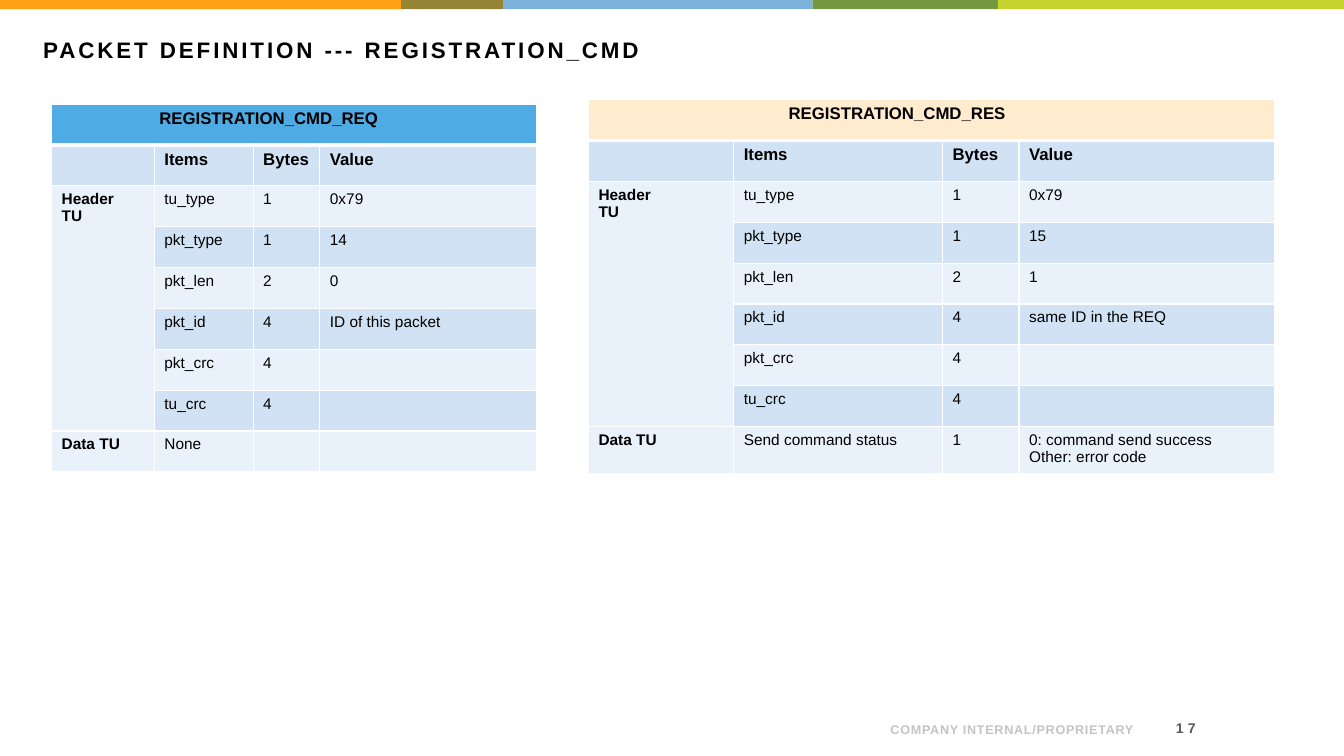
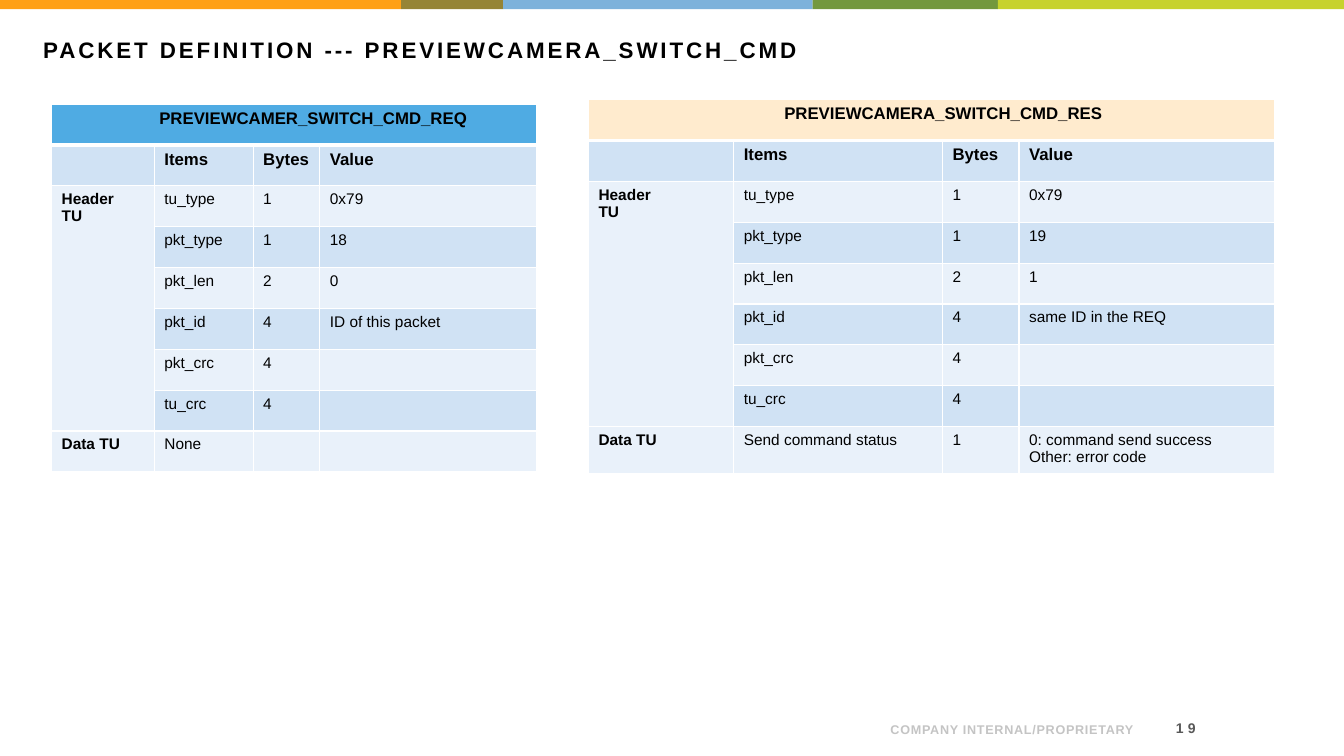
import dataclasses

import lxml.etree
import pptx
import pptx.dml.color
import pptx.enum.shapes
import pptx.enum.text
import pptx.oxml.ns
import pptx.slide
import pptx.table
import pptx.text.text
import pptx.util

Cm = pptx.util.Cm
Pt = pptx.util.Pt
RGBColor = pptx.dml.color.RGBColor
PP_ALIGN = pptx.enum.text.PP_ALIGN
MSO_ANCHOR = pptx.enum.text.MSO_ANCHOR
RECT = pptx.enum.shapes.MSO_SHAPE.RECTANGLE
qn = pptx.oxml.ns.qn

BLACK = RGBColor(0x00, 0x00, 0x00)
WHITE = RGBColor(0xFF, 0xFF, 0xFF)
DARK_GREY = RGBColor(0x59, 0x59, 0x59)
LIGHT_GREY = RGBColor(0xC4, 0xC4, 0xC4)
ORANGE = RGBColor(0xFF, 0xA0, 0x15)
OLIVE = RGBColor(0x95, 0x84, 0x36)
SKY = RGBColor(0x7D, 0xB2, 0xDB)
GREEN = RGBColor(0x73, 0x98, 0x3E)
LIME = RGBColor(0xC7, 0xD2, 0x2D)
REQ_BLUE = RGBColor(0x4F, 0xAB, 0xE3)
RES_CREAM = RGBColor(0xFF, 0xEB, 0xCE)
ROW_EVEN = RGBColor(0xE9, 0xF1, 0xFA)
ROW_ODD = RGBColor(0xD0, 0xE2, 0xF4)

FONT = "Arial"
SLIDE_WIDTH, SLIDE_HEIGHT = Cm(33.87), Cm(19.05)
ROW_HEIGHT = Cm(1.03)
BAND_HEIGHT = Cm(0.23)
BANDS = ((ORANGE, 10.11), (OLIVE, 2.57), (SKY, 7.8), (GREEN, 4.67), (LIME, 8.72))
HEADER_FIELDS = (("tu_type", "1"), ("pkt_type", "1"), ("pkt_len", "2"),
                 ("pkt_id", "4"), ("pkt_crc", "4"), ("tu_crc", "4"))


@dataclasses.dataclass(frozen=True)
class TextStyle:
    size: float
    color: RGBColor = BLACK
    bold: bool = True
    spacing: float = 0


@dataclasses.dataclass(frozen=True)
class TextBox:
    left: float
    top: float
    width: float
    height: float
    style: TextStyle
    align: PP_ALIGN = PP_ALIGN.LEFT
    anchor: MSO_ANCHOR = MSO_ANCHOR.TOP


@dataclasses.dataclass(frozen=True)
class PacketLayout:
    left: float
    top: float
    columns: tuple[float, ...]
    fill: RGBColor
    length: str
    packet_id: str
    data: tuple[str, str, str]


@dataclasses.dataclass(frozen=True)
class Packet:
    layout: PacketLayout
    name: str
    indent: float
    packet_type: str


@dataclasses.dataclass(frozen=True)
class Page:
    number: str
    command: str
    packets: tuple[Packet, ...]


HEADING = TextStyle(12)
LABEL = TextStyle(11)
BODY = TextStyle(11, bold=False)

TITLE = TextBox(0.84, 0.79, 31.83, 1.83, TextStyle(16, spacing=2.1))
FOOTER = TextBox(21.62, 17.83, 7.19, 0.86, TextStyle(9, LIGHT_GREY, spacing=0.5),
                 PP_ALIGN.RIGHT, MSO_ANCHOR.BOTTOM)
NUMBER = TextBox(28.65, 17.96, 1.73, 0.76, TextStyle(10, DARK_GREY, spacing=3),
                 PP_ALIGN.RIGHT, MSO_ANCHOR.MIDDLE)

REQ = PacketLayout(1.3, 2.62, (2.59, 2.49, 1.68, 5.46), REQ_BLUE,
                   "0", "ID of this packet", ("None", "", ""))
RES = PacketLayout(14.83, 2.51, (3.66, 5.26, 1.93, 6.43), RES_CREAM,
                   "1", "same ID in the REQ",
                   ("Send command status", "1",
                    "0: command send success\nOther: error code"))

PAGES = (
    Page("17", "REGISTRATION_CMD", (
        Packet(REQ, "REGISTRATION_CMD_REQ", 2.46, "14"),
        Packet(RES, "REGISTRATION_CMD_RES", 4.79, "15"))),
    Page("19", "PREVIEWCAMERA_SWITCH_CMD", (
        Packet(REQ, "PREVIEWCAMER_SWITCH_CMD_REQ", 2.46, "18"),
        Packet(RES, "PREVIEWCAMERA_SWITCH_CMD_RES", 4.68, "19"))),
)


def write(tf: pptx.text.text.TextFrame, text: str, style: TextStyle,
          align: PP_ALIGN = PP_ALIGN.LEFT, indent: float = 0) -> None:
    """Write each line of text as one paragraph."""
    font_values = {"name": FONT, "size": Pt(style.size), "bold": style.bold}
    for i, line in enumerate(text.split("\n")):
        p = tf.add_paragraph() if i else tf.paragraphs[0]
        p.alignment = align
        if indent:
            p._p.get_or_add_pPr().set("marL", str(Cm(indent)))
        r = p.add_run()
        r.text = line
        for name, value in font_values.items():
            setattr(r.font, name, value)
        r.font.color.rgb = style.color
        if style.spacing:
            r._r.get_or_add_rPr().set("spc", str(round(style.spacing * 100)))


def add_text(s: pptx.slide.Slide, box: TextBox, text: str) -> None:
    sp = s.shapes.add_textbox(Cm(box.left), Cm(box.top), Cm(box.width), Cm(box.height))
    tf = sp.text_frame
    for name, value in {"word_wrap": True, "vertical_anchor": box.anchor}.items():
        setattr(tf, name, value)
    write(tf, text, box.style, box.align)


def add_bands(s: pptx.slide.Slide) -> None:
    left = 0
    for color, width in BANDS:
        sp = s.shapes.add_shape(RECT, left, 0, Cm(width), BAND_HEIGHT)
        sp.shadow.inherit = False
        sp.fill.solid()
        sp.fill.fore_color.rgb = color
        sp.line.fill.background()
        left += Cm(width)


def set_borders(cell: pptx.table._Cell, widths: dict[str, float]) -> None:
    tc_pr = cell._tc.get_or_add_tcPr()
    for side, width in widths.items():
        ln = lxml.etree.SubElement(tc_pr, qn(f"a:ln{side}"), w=str(Pt(width)))
        fill = lxml.etree.SubElement(ln, qn("a:solidFill"))
        lxml.etree.SubElement(fill, qn("a:srgbClr"), val=str(WHITE))


def packet_rows(packet: Packet) -> list[tuple[str, ...]]:
    layout = packet.layout
    values = {"tu_type": "0x79", "pkt_type": packet.packet_type,
              "pkt_len": layout.length, "pkt_id": layout.packet_id}
    rows = [(packet.name, "", "", ""), ("", "Items", "Bytes", "Value")]
    for i, (item, size) in enumerate(HEADER_FIELDS):
        rows.append(("" if i else "Header\nTU", item, size, values.get(item, "")))
    return rows + [("Data TU", *layout.data)]


def add_packet(s: pptx.slide.Slide, packet: Packet) -> None:
    layout = packet.layout
    rows = packet_rows(packet)
    table = s.shapes.add_table(
        len(rows), len(layout.columns), Cm(layout.left), Cm(layout.top),
        Cm(sum(layout.columns)), ROW_HEIGHT * len(rows)).table
    for column, width in zip(table.columns, layout.columns):
        column.width = Cm(width)
    for i, row in enumerate(rows):
        table.rows[i].height = ROW_HEIGHT
        for j, text in enumerate(row):
            cell = table.cell(i, j)
            set_borders(cell, {"L": 1, "R": 1, "T": 3 if i == 1 else 1,
                               "B": 3 if i == 0 else 1})
            cell.fill.solid()
            cell.fill.fore_color.rgb = (ROW_EVEN, ROW_ODD)[i % 2] if i else layout.fill
            if text:
                style = HEADING if i < 2 else BODY if j else LABEL
                write(cell.text_frame, text, style, indent=0 if i else packet.indent)
    table.cell(0, 0).merge(table.cell(0, len(layout.columns) - 1))
    table.cell(2, 0).merge(table.cell(1 + len(HEADER_FIELDS), 0))


def add_page(prs: pptx.presentation.Presentation, page: Page) -> None:
    s = prs.slides.add_slide(prs.slide_layouts[6])
    add_text(s, NUMBER, page.number)
    add_text(s, FOOTER, "COMPANY INTERNAL/PROPRIETARY")
    add_bands(s)
    add_text(s, TITLE, f"PACKET DEFINITION --- {page.command}")
    for packet in page.packets:
        add_packet(s, packet)


def main() -> None:
    prs = pptx.Presentation()
    prs.slide_width, prs.slide_height = SLIDE_WIDTH, SLIDE_HEIGHT
    for page in PAGES:
        add_page(prs, page)
    prs.save("out.pptx")


if __name__ == "__main__":
    main()
